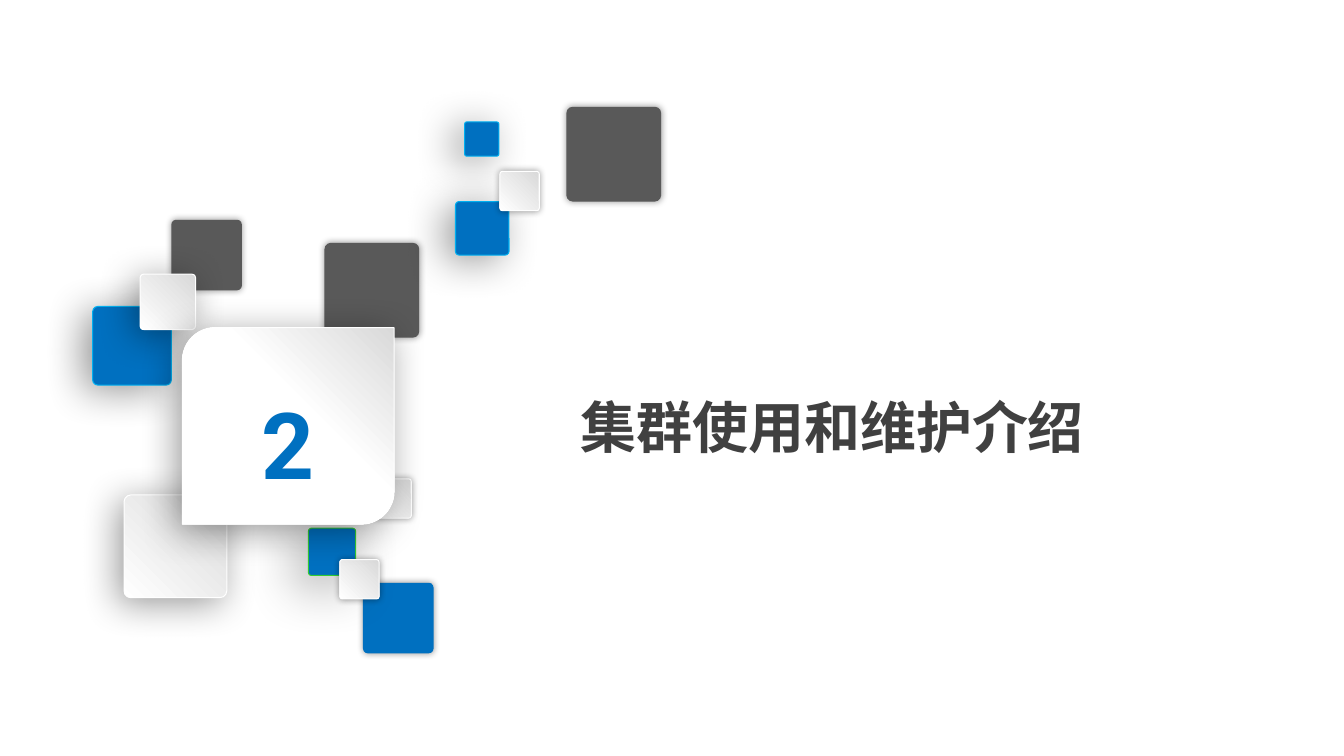
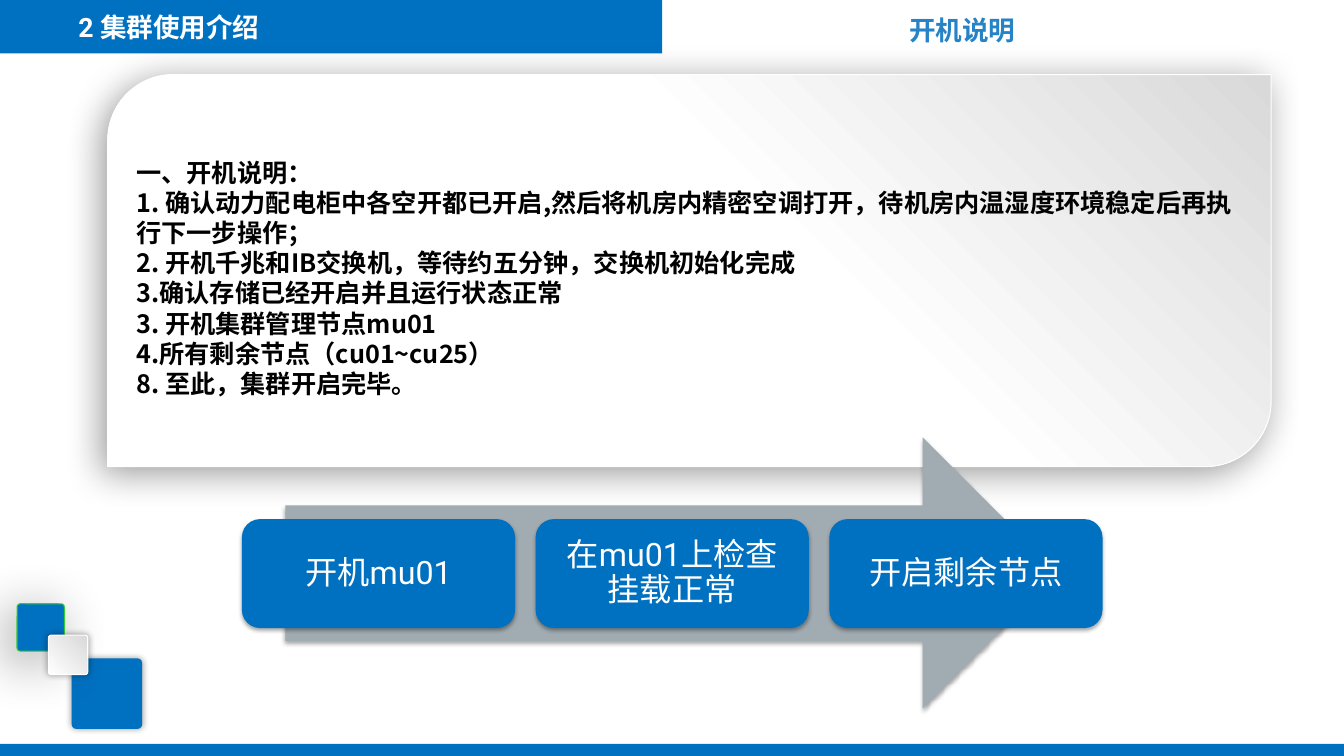
from dataclasses import dataclass
from typing import Optional

from lxml import etree
from pptx import Presentation
from pptx import util as u
from pptx.dml import color
from pptx.enum import shapes, text
from pptx.oxml import ns

BLUE, DARK, WHITE, SILVER = "0070C0", "595959", "FFFFFF", "D9D9D9"
SKY, GREEN, ARROW_GREY = "00B0F0", "33CC33", "A1ACB2"
TITLE_GREY, TOPIC_BLUE, BLACK = "404040", "2683C6", "000000"
LATIN, CHINESE = "Roboto", "Noto Sans CJK SC"
WIDTH, HEIGHT = 960, 540
LEFT, CENTER = text.PP_ALIGN.LEFT, text.PP_ALIGN.CENTER
KIND = shapes.MSO_SHAPE


@dataclass(frozen=True)
class Box:
    left: float
    top: float
    width: float
    height: float


@dataclass(frozen=True)
class Shadow:
    blur: float
    distance: float
    direction: int
    opacity: int = 40


@dataclass(frozen=True)
class Style:
    fill: str
    line: Optional[str] = None
    shadow: Optional[Shadow] = None
    fade_end: Optional[float] = None


@dataclass(frozen=True)
class Tile:
    left: float
    top: float
    size: float
    style: Style


@dataclass(frozen=True)
class Lettering:
    size: float
    colour: str
    bold: bool = True
    font: str = LATIN
    align: text.PP_ALIGN = LEFT
    spacing: Optional[float] = None


GLOW = Shadow(5, 0, 0)
CAST = Shadow(27, 6, 135)
SOFT = Shadow(3.1, 1.8, 90, 35)
BLUE_HALO = Style(BLUE, SKY, Shadow(29, 8, 150))
BLUE_GLOW = Style(BLUE, shadow=GLOW)
BLUE_GREEN = Style(BLUE, GREEN, Shadow(40, 9, 135))
DARK_GLOW = Style(DARK, shadow=GLOW)
LIGHT_GLOW = Style(SILVER, WHITE, GLOW, 1)
LIGHT_CAST = Style(SILVER, WHITE, CAST, 1)
CARD = Style(SILVER, WHITE, CAST, 0.42)
BAND = Style(BLUE)

TILES = [
    Tile(66.2, 218.9, 56.2, BLUE_HALO),
    Tile(122.4, 157, 50.4, DARK_GLOW),
    Tile(100.1, 195.8, 39.6, LIGHT_CAST),
    Tile(265.7, 342, 28.1, LIGHT_GLOW),
    Tile(88.6, 353.5, 73.4, LIGHT_CAST),
    Tile(231.8, 173.5, 67.7, DARK_GLOW),
    Tile(325.4, 144, 38.2, BLUE_HALO),
    Tile(331.9, 87.1, 24.5, BLUE_HALO),
    Tile(357.1, 122.4, 28.1, LIGHT_GLOW),
    Tile(404.6, 76.3, 67.7, DARK_GLOW),
]
CLUSTER = [
    Tile(39, 39, 50.4, BLUE_GLOW),
    Tile(0, 0, 33.8, BLUE_GREEN),
    Tile(22.4, 22.4, 28.1, LIGHT_GLOW),
]
INSTRUCTIONS = [
    "一、开机说明：",
    "1. 确认动力配电柜中各空开都已开启,然后将机房内精密空调打开，待机房内温湿度环境稳定后再执行下一步操作；",
    "2. 开机千兆和IB交换机，等待约五分钟，交换机初始化完成",
    "3.确认存储已经开启并且运行状态正常",
    "3. 开机集群管理节点mu01",
    "4.所有剩余节点（cu01~cu25）",
    "8. 至此，集群开启完毕。",
]
STEPS = ["开机mu01", "在mu01上检查挂载正常", "开启剩余节点"]


def rgb(value: str) -> color.RGBColor:
    return color.RGBColor.from_string(value)


def place(box: Box) -> list[u.Length]:
    return [u.Pt(value) for value in (box.left, box.top, box.width, box.height)]


def add_shadow(shape, shadow: Shadow) -> None:
    effects = shape._element.spPr.find(ns.qn("a:effectLst"))
    outer = etree.SubElement(
        effects, ns.qn("a:outerShdw"),
        blurRad=str(u.Pt(shadow.blur)), dist=str(u.Pt(shadow.distance)),
        dir=str(shadow.direction * 60000), algn="ctr", rotWithShape="0")
    tint = etree.SubElement(outer, ns.qn("a:srgbClr"), val=BLACK)
    etree.SubElement(tint, ns.qn("a:alpha"), val=str(shadow.opacity * 1000))


def add_block(slide, kind: shapes.MSO_SHAPE, box: Box, style: Style):
    shape = slide.shapes.add_shape(kind, *place(box))
    shape.shadow.inherit = False
    if style.fade_end is None:
        shape.fill.solid()
        shape.fill.fore_color.rgb = rgb(style.fill)
    else:
        shape.fill.gradient()
        shape.fill.gradient_angle = 225
        ends = ((0, style.fill), (style.fade_end, WHITE))
        for stop, (position, colour) in zip(shape.fill.gradient_stops, ends):
            stop.position = position
            stop.color.rgb = rgb(colour)
    if style.line:
        shape.line.color.rgb = rgb(style.line)
        shape.line.width = u.Pt(0.75)
    else:
        shape.line.fill.background()
    if style.shadow:
        add_shadow(shape, style.shadow)
    return shape


def write(shape, lines: list[str], lettering: Lettering,
          inset_x: float = 7.2, inset_y: float = 3.6) -> None:
    frame = shape.text_frame
    frame.word_wrap = True
    frame.vertical_anchor = text.MSO_ANCHOR.MIDDLE
    frame.margin_left = frame.margin_right = u.Pt(inset_x)
    frame.margin_top = frame.margin_bottom = u.Pt(inset_y)
    for index, line in enumerate(lines):
        paragraph = frame.add_paragraph() if index else frame.paragraphs[0]
        paragraph.text = line
        paragraph.alignment = lettering.align
        if lettering.spacing:
            paragraph.line_spacing = lettering.spacing
        paragraph.font.size = u.Pt(lettering.size)
        paragraph.font.bold = lettering.bold
        paragraph.font.color.rgb = rgb(lettering.colour)
        paragraph.font.name = lettering.font
        defaults = paragraph._p.pPr.find(ns.qn("a:defRPr"))
        etree.SubElement(defaults, ns.qn("a:ea"), typeface=CHINESE)


def add_label(slide, box: Box, line: str, lettering: Lettering,
              inset_x: float = 7.2) -> None:
    write(slide.shapes.add_textbox(*place(box)), [line], lettering, inset_x)


def add_tiles(slide, tiles: list[Tile], left: float = 0, top: float = 0) -> None:
    for tile in tiles:
        box = Box(left + tile.left, top + tile.top, tile.size, tile.size)
        shape = add_block(slide, KIND.ROUNDED_RECTANGLE, box, tile.style)
        shape.adjustments[0] = 0.067


def add_card(slide, box: Box, lines: list[str], lettering: Lettering):
    card = add_block(slide, KIND.ROUND_2_DIAG_RECTANGLE, box, CARD)
    write(card, lines, lettering, 6.8, 3.2)
    return card


def build_section(slide) -> None:
    add_label(slide, Box(404.6, 278.6, 491, 51.1), "集群使用和维护介绍",
              Lettering(40, TITLE_GREY), 10)
    add_tiles(slide, TILES[:5])
    add_tiles(slide, CLUSTER, 220.3, 377.3)
    add_tiles(slide, TILES[5:])
    add_card(slide, Box(130.3, 234, 151.2, 140.4), ["2"],
             Lettering(66, BLUE, align=CENTER, spacing=1.3))


def build_startup(slide) -> None:
    add_block(slide, KIND.RECTANGLE, Box(0, 531.4, WIDTH, 8.6), BAND)
    add_block(slide, KIND.RECTANGLE, Box(0, 0, 473, 38.2), BAND)
    add_label(slide, Box(49, 0, 344, 38.9), "2 集群使用介绍", Lettering(19, WHITE))
    add_tiles(slide, CLUSTER, 12.2, 431.3)
    card = add_card(slide, Box(77, 53.3, 831, 280), INSTRUCTIONS,
                    Lettering(18, BLACK, font=CHINESE, spacing=u.Pt(21.5)))
    card.text_frame.paragraphs[0].line_spacing = u.Pt(32)
    add_label(slide, Box(515.5, 2.2, 344, 38.9), "开机说明",
              Lettering(19, TOPIC_BLUE, align=CENTER))
    add_block(slide, KIND.RIGHT_ARROW, Box(203.8, 312.5, 552.2, 193.7),
              Style(ARROW_GREY, shadow=SOFT))
    for index, step in enumerate(STEPS):
        box = Box(172.8 + 209.8 * index, 370.8, 195.1, 77.8)
        shape = add_block(slide, KIND.ROUNDED_RECTANGLE, box, Style(BLUE, shadow=SOFT))
        write(shape, [step], Lettering(23, WHITE, False, align=CENTER, spacing=0.9))


def main() -> None:
    presentation = Presentation()
    presentation.slide_width = u.Pt(WIDTH)
    presentation.slide_height = u.Pt(HEIGHT)
    for build in (build_section, build_startup):
        build(presentation.slides.add_slide(presentation.slide_layouts[6]))
    presentation.save("out.pptx")


if __name__ == "__main__":
    main()
